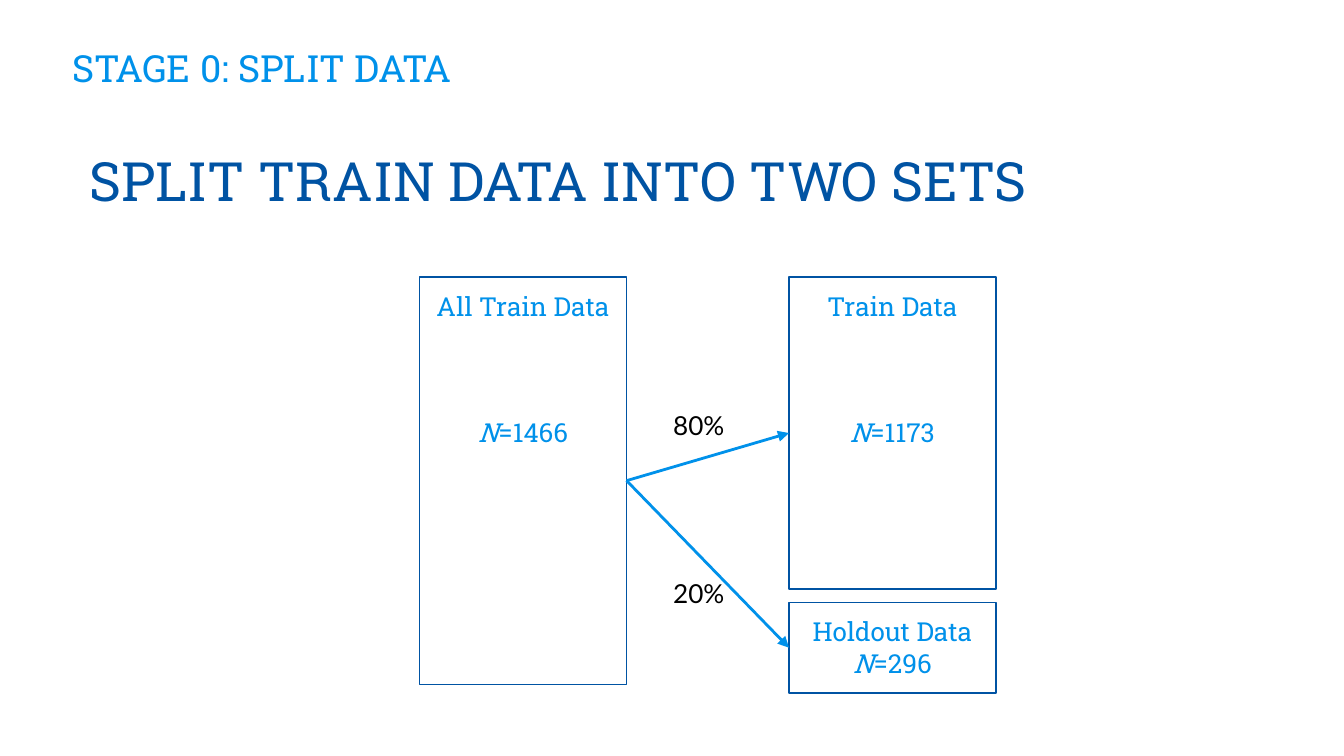
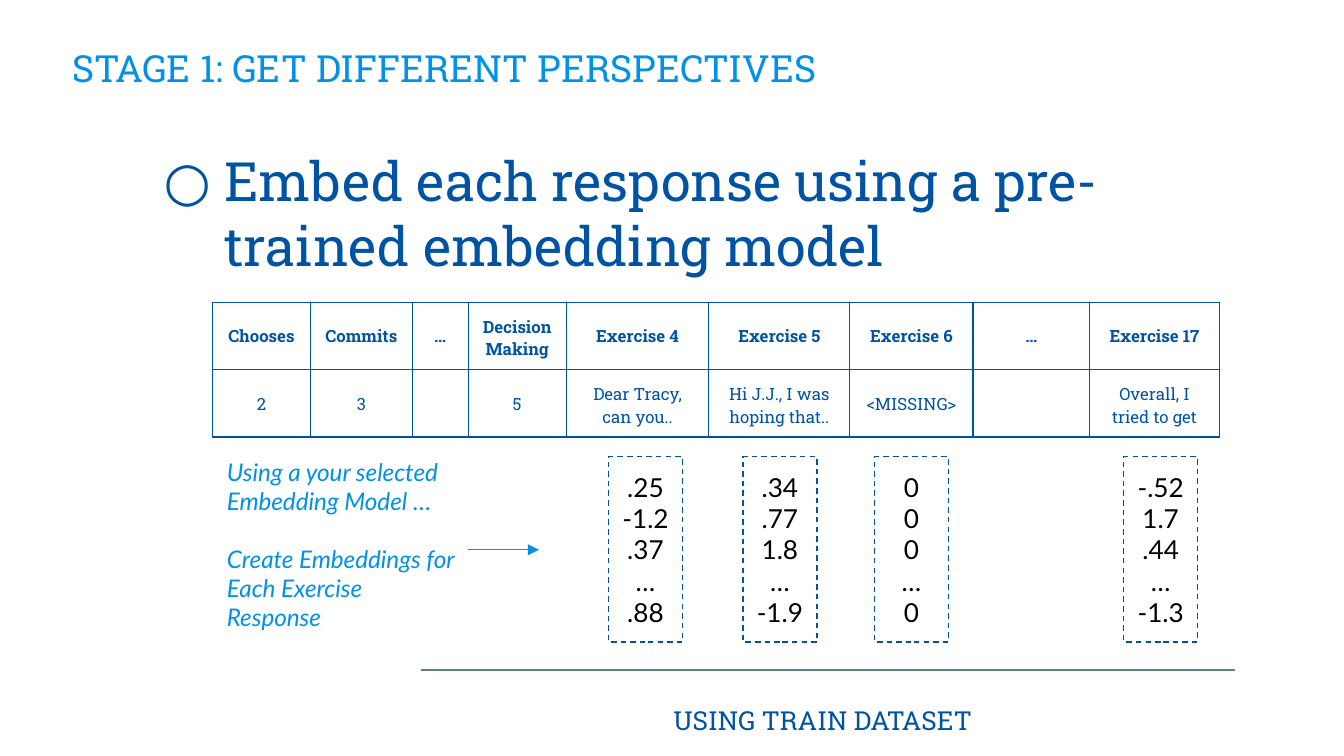
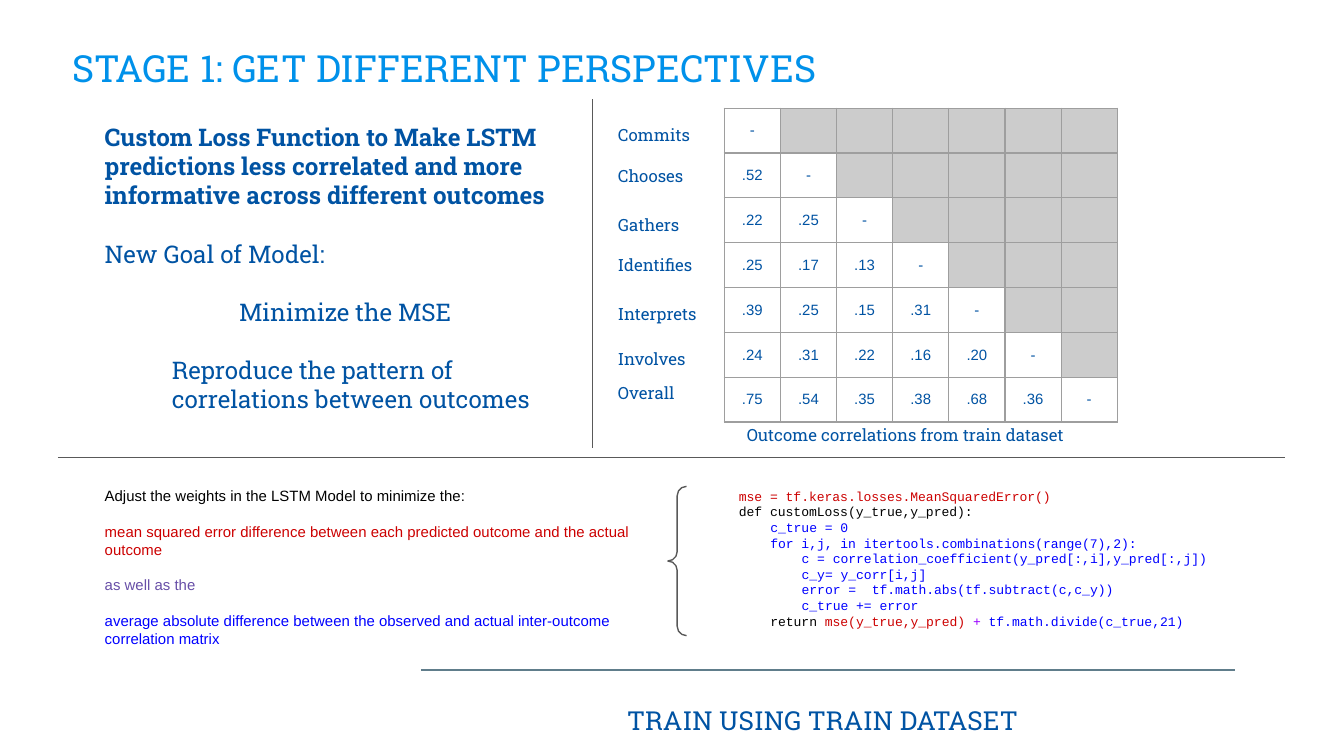
from dataclasses import dataclass, replace

from lxml.etree import SubElement
from pptx import Presentation
from pptx.dml.color import RGBColor
from pptx.enum.dml import MSO_LINE
from pptx.enum.shapes import MSO_CONNECTOR, MSO_SHAPE
from pptx.enum.text import MSO_ANCHOR, PP_ALIGN
from pptx.oxml.ns import qn
from pptx.util import Pt

NAVY = RGBColor(0x00, 0x53, 0xA3)
SKY = RGBColor(0x00, 0x91, 0xEA)
SLATE = RGBColor(0x60, 0x7D, 0x8B)
DARK_GRAY = RGBColor(0x59, 0x59, 0x59)
GRID_GRAY = RGBColor(0x9E, 0x9E, 0x9E)
UNUSED_GRAY = RGBColor(0xCC, 0xCC, 0xCC)
BLACK = RGBColor(0x00, 0x00, 0x00)
RED = RGBColor(0xCC, 0x00, 0x00)
BLUE = RGBColor(0x00, 0x00, 0xFF)
PURPLE = RGBColor(0x67, 0x4E, 0xA7)
VIOLET = RGBColor(0x99, 0x00, 0xFF)

INSET = 7.2
SLAB = "Roboto Slab"
CENTER = PP_ALIGN.CENTER


@dataclass(frozen=True)
class Style:
    """Describe how a run of text looks."""
    size: float
    font: str
    color: RGBColor
    bold: bool = False
    italic: bool = False


@dataclass(frozen=True)
class Para:
    """Hold the (text, style) runs of a paragraph and its spacing."""
    runs: tuple
    before: float = 0
    left: float = 0


TITLE = Style(20, SLAB, SKY)
HEADING = Style(29, SLAB, NAVY)
FOOTER = Style(14, SLAB, NAVY)
BOX = Style(14, SLAB, SKY)
GOAL = Style(13, SLAB, NAVY)
SMALL = Style(9, SLAB, NAVY)
NUMBER = Style(14, "Lato", BLACK)
HINT = Style(13, "Lato", SKY, italic=True)
CORRELATION = Style(8, "Arial", NAVY)
EXPLANATION = Style(8, "Arial", BLACK)
CODE = Style(7, "Courier New", BLACK)
CODE_INDENT = 16.8


def para(text, style, before=0, left=0):
    """Make a paragraph with one run."""
    return Para(((text, style),), before, left)


def write(frame, paras, align=PP_ALIGN.LEFT, anchor=MSO_ANCHOR.TOP, top_inset=INSET):
    """Fill a text frame with styled paragraphs."""
    frame.word_wrap = True
    frame.vertical_anchor = anchor
    frame.margin_left = frame.margin_right = frame.margin_bottom = Pt(INSET)
    frame.margin_top = Pt(top_inset)
    for index, content in enumerate(paras):
        paragraph = frame.add_paragraph() if index else frame.paragraphs[0]
        paragraph.alignment = align
        paragraph.space_before = Pt(content.before)
        if content.left:
            properties = paragraph._p.get_or_add_pPr()
            properties.set("marL", str(Pt(content.left)))
            properties.set("indent", "0")
        for text, style in content.runs:
            run = paragraph.add_run()
            run.text = text
            format_font(run.font, style)


def format_font(font, style):
    """Apply a style to a font."""
    font.size = Pt(style.size)
    font.name = style.font
    font.color.rgb = style.color
    font.bold = style.bold
    font.italic = style.italic


def add_text(slide, left, top, width, height, paras, **layout):
    """Add a text box and return its frame."""
    frame = slide.shapes.add_textbox(Pt(left), Pt(top), Pt(width), Pt(height)).text_frame
    write(frame, paras, **layout)
    return frame


def add_outline(slide, preset, left, top, width, height, color):
    """Add an unfilled preset shape with a thin line."""
    outline = slide.shapes.add_shape(preset, Pt(left), Pt(top), Pt(width), Pt(height))
    outline.shadow.inherit = False
    outline.fill.background()
    outline.line.color.rgb = color
    outline.line.width = Pt(0.75)
    return outline


def add_line(slide, start, end, color, weight=0.75, arrow=False):
    """Draw a straight line, with an arrowhead at its end if asked."""
    line = slide.shapes.add_connector(
        MSO_CONNECTOR.STRAIGHT, *(Pt(value) for value in (*start, *end)))
    line.line.color.rgb = color
    line.line.width = Pt(weight)
    if arrow:
        SubElement(line.line._get_or_add_ln(), qn("a:tailEnd"), type="triangle")
    SubElement(line._element.spPr, qn("a:effectLst"))


def add_bullet(paragraph, symbol, color, left, hanging):
    """Give a paragraph a coloured hanging bullet."""
    properties = paragraph._p.get_or_add_pPr()
    properties.set("marL", str(Pt(left)))
    properties.set("indent", str(-Pt(hanging)))
    bullet_color = SubElement(properties, qn("a:buClr"))
    SubElement(bullet_color, qn("a:srgbClr"), val=str(color))
    SubElement(properties, qn("a:buFont"), typeface=SLAB)
    SubElement(properties, qn("a:buChar"), char=symbol)


def add_borders(cell, color):
    """Draw thin lines on all four sides of a cell."""
    properties = cell._tc.get_or_add_tcPr()
    for index, side in enumerate(("a:lnL", "a:lnR", "a:lnT", "a:lnB")):
        border = properties.makeelement(qn(side), {"w": str(Pt(0.75))})
        fill = SubElement(border, qn("a:solidFill"))
        SubElement(fill, qn("a:srgbClr"), val=str(color))
        properties.insert(index, border)


def add_grid(slide, left, top, widths, row_height, rows, styles, border, empty=None):
    """Add a table with centred cells; empty cells may get a fill."""
    grid = slide.shapes.add_table(
        len(rows), len(widths), Pt(left), Pt(top),
        Pt(sum(widths)), Pt(row_height * len(rows))).table
    grid.first_row = grid.horz_banding = False
    for column, width in zip(grid.columns, widths):
        column.width = Pt(width)
    for row, texts, style in zip(grid.rows, rows, styles):
        row.height = Pt(row_height)
        for cell, text in zip(row.cells, texts):
            cell.vertical_anchor = MSO_ANCHOR.MIDDLE
            margin = Pt(INSET if text else 0)
            cell.margin_left = cell.margin_right = margin
            cell.margin_top = cell.margin_bottom = margin
            cell.fill.background()
            if text:
                cell.text = text
                paragraph = cell.text_frame.paragraphs[0]
                paragraph.alignment = CENTER
                format_font(paragraph.runs[0].font, style)
            elif empty:
                cell.fill.solid()
                cell.fill.fore_color.rgb = empty
            add_borders(cell, border)


def add_stage(deck, title, footer=None):
    """Add a blank slide with its stage title and optional footer."""
    slide = deck.slides.add_slide(deck.slide_layouts[6])
    add_text(slide, 31.7, 0, 596, 55.4, [para(title, TITLE)], anchor=MSO_ANCHOR.BOTTOM)
    if footer:
        add_line(slide, (225.5, 359), (661.5, 359), SLATE)
        add_text(slide, 228, 370, 425.5, 31.7, [para(footer, FOOTER)], align=CENTER)
    return slide


def add_heading(slide, text, height):
    """Add the large heading below the title."""
    return add_text(slide, 41, 54.7, 612.7, height, [para(text, HEADING)], top_inset=24)


def add_data_box(slide, left, top, height, label, count, gap=0):
    """Add a data set box with its label and sample size."""
    box = add_outline(slide, MSO_SHAPE.RECTANGLE, left, top, 110.9, height, NAVY)
    size = Para((("N", replace(BOX, italic=True)), (f"={count}", BOX)), before=gap)
    write(box.text_frame, [para(label, BOX), size], align=CENTER)


def build_split(deck):
    """Build the slide on splitting the data."""
    slide = add_stage(deck, "STAGE 0: SPLIT DATA")
    add_heading(slide, "SPLIT TRAIN DATA INTO TWO SETS", 75)
    source_left, sets_left, top = 224.8, 422.7, 148.4
    add_data_box(slide, source_left, top, 218.2, "All Train Data", 1466, gap=50.5)
    add_data_box(slide, sets_left, top, 167.2, "Train Data", 1173, gap=50.5)
    add_data_box(slide, sets_left, 322.7, 48.5, "Holdout Data", 296)
    for share, label_top, target in (("80%", 212.4, 232), ("20%", 302.4, 347)):
        add_line(slide, (source_left + 110.9, 257.5), (sets_left, target), SKY, 1.5, True)
        add_text(slide, 353.5, label_top, 49, 31.7, [para(share, NUMBER)])


def build_embedding(deck):
    """Build the slide on embedding the responses."""
    slide = add_stage(deck, "STAGE 1: GET DIFFERENT PERSPECTIVES", "USING TRAIN DATASET")
    heading = add_heading(slide, "Embed each response using a pre-trained embedding model", 99.4)
    add_bullet(heading.paragraphs[0], "○", NAVY, 72, 32.4)
    rows = [
        ["Chooses", "Commits", "…", "Decision Making", "Exercise 4", "Exercise 5",
         "Exercise 6", "…", "Exercise 17"],
        ["2", "3", "", "5", "Dear Tracy, can you..", "Hi J.J., I was hoping that..",
         "<MISSING>", "", "Overall, I tried to get"],
    ]
    widths = [52.5, 54.5, 30, 52.5, 76.5, 75.5, 66, 62.5, 69.5]
    add_grid(slide, 113.8, 162, widths, 36, rows,
             [replace(SMALL, bold=True), SMALL], NAVY)
    embeddings = {
        326: [".25", "-1.2", ".37", "…", ".88"],
        398: [".34", ".77", "1.8", "…", "-1.9"],
        468.5: ["0", "0", "0", "…", "0"],
        602: ["-.52", "1.7", ".44", "…", "-1.3"],
    }
    for left, values in embeddings.items():
        vector = add_outline(slide, MSO_SHAPE.RECTANGLE, left, 244.7, 39.6, 99.3, NAVY)
        vector.line.dash_style = MSO_LINE.DASH
        write(vector.text_frame, [para(value, NUMBER) for value in values],
              align=CENTER, anchor=MSO_ANCHOR.MIDDLE)
    add_text(slide, 114.5, 237.6, 136.8, 109.4, [
        para("Using a your selected Embedding Model …", HINT),
        para("Create Embeddings for Each Exercise Response", HINT, before=15.6)])
    add_line(slide, (250.6, 294.5), (288.7, 294.5), SKY, arrow=True)


def add_correlations(slide):
    """Add the lower triangle of outcome correlations with its labels."""
    outcomes = {
        "Commits": (61.2, []),
        "Chooses": (83.5, [".52"]),
        "Gathers": (109.4, [".22", ".25"]),
        "Identifies": (131, [".25", ".17", ".13"]),
        "Interprets": (157, [".39", ".25", ".15", ".31"]),
        "Involves": (181.4, [".24", ".31", ".22", ".16", ".20"]),
        "Overall": (199.4, [".75", ".54", ".35", ".38", ".68", ".36"]),
    }
    count = len(outcomes)
    rows = [values + ["-"] + [""] * (count - 1 - len(values))
            for _, values in outcomes.values()]
    add_grid(slide, 388, 58, [30.1] * count, 24, rows, [CORRELATION] * count,
             GRID_GRAY, UNUSED_GRAY)
    for outcome, (top, _) in outcomes.items():
        add_text(slide, 324, top, 62.6, 25.2, [para(outcome, SMALL)])
    add_text(slide, 393, 221.8, 190, 25.2,
             [para("Outcome correlations from train dataset", SMALL)])


def add_loss_code(slide):
    """Add the code of the custom loss function."""
    red, blue, violet = (replace(CODE, color=color) for color in (RED, BLUE, VIOLET))
    body = [
        (1, "c_true = 0"),
        (1, "for i,j, in itertools.combinations(range(7),2):"),
        (2, "c = correlation_coefficient(y_pred[:,i],y_pred[:,j])"),
        (2, "c_y= y_corr[i,j]"),
        (2, "error =  tf.math.abs(tf.subtract(c,c_y))"),
        (2, "c_true += error"),
    ]
    result = (("return ", CODE), ("mse(y_true,y_pred) ", red), ("+ ", violet),
              ("tf.math.divide(c_true,21)", blue))
    add_text(slide, 388.8, 254.2, 300.2, 99.4, [
        para("mse = tf.keras.losses.MeanSquaredError()", red),
        para("def customLoss(y_true,y_pred):", CODE),
        *(para(text, blue, left=level * CODE_INDENT) for level, text in body),
        Para(result, left=CODE_INDENT)])


def build_loss(deck):
    """Build the slide on the custom loss function."""
    slide = add_stage(deck, "STAGE 1: GET DIFFERENT PERSPECTIVES",
                      "TRAIN USING TRAIN DATASET")
    gap = 15.6
    add_text(slide, 49, 58.3, 254.2, 172, [
        para("Custom Loss Function to Make LSTM predictions less correlated and more "
             "informative across different outcomes", replace(GOAL, bold=True)),
        para("New Goal of Model:", GOAL, gap),
        para("Minimize the MSE", GOAL, gap, 72),
        para("Reproduce the pattern of correlations between outcomes", GOAL, gap, 36)])
    add_correlations(slide)
    add_line(slide, (317.5, 239.8), (317.5, 53.3), DARK_GRAY)
    add_line(slide, (31, 245), (688.3, 245), DARK_GRAY)
    explanation = [
        ("Adjust the weights in the LSTM Model to minimize the:", BLACK),
        ("mean squared error difference between each predicted outcome and the actual "
         "outcome", RED),
        ("as well as the", PURPLE),
        ("average absolute difference between the observed and actual inter-outcome "
         "correlation matrix", BLUE),
    ]
    add_text(slide, 49, 253.4, 306, 101.5, [
        para(text, replace(EXPLANATION, color=color), before=9.6 if index else 0)
        for index, (text, color) in enumerate(explanation)])
    brace = add_outline(slide, MSO_SHAPE.LEFT_BRACE, 357.8, 260.6, 10, 80, DARK_GRAY)
    brace.adjustments[0] = brace.adjustments[1] = 0.5
    add_loss_code(slide)


def main():
    """Build the deck and save it."""
    deck = Presentation()
    deck.slide_width, deck.slide_height = Pt(720), Pt(405)
    build_split(deck)
    build_embedding(deck)
    build_loss(deck)
    deck.save("out.pptx")


if __name__ == "__main__":
    main()
